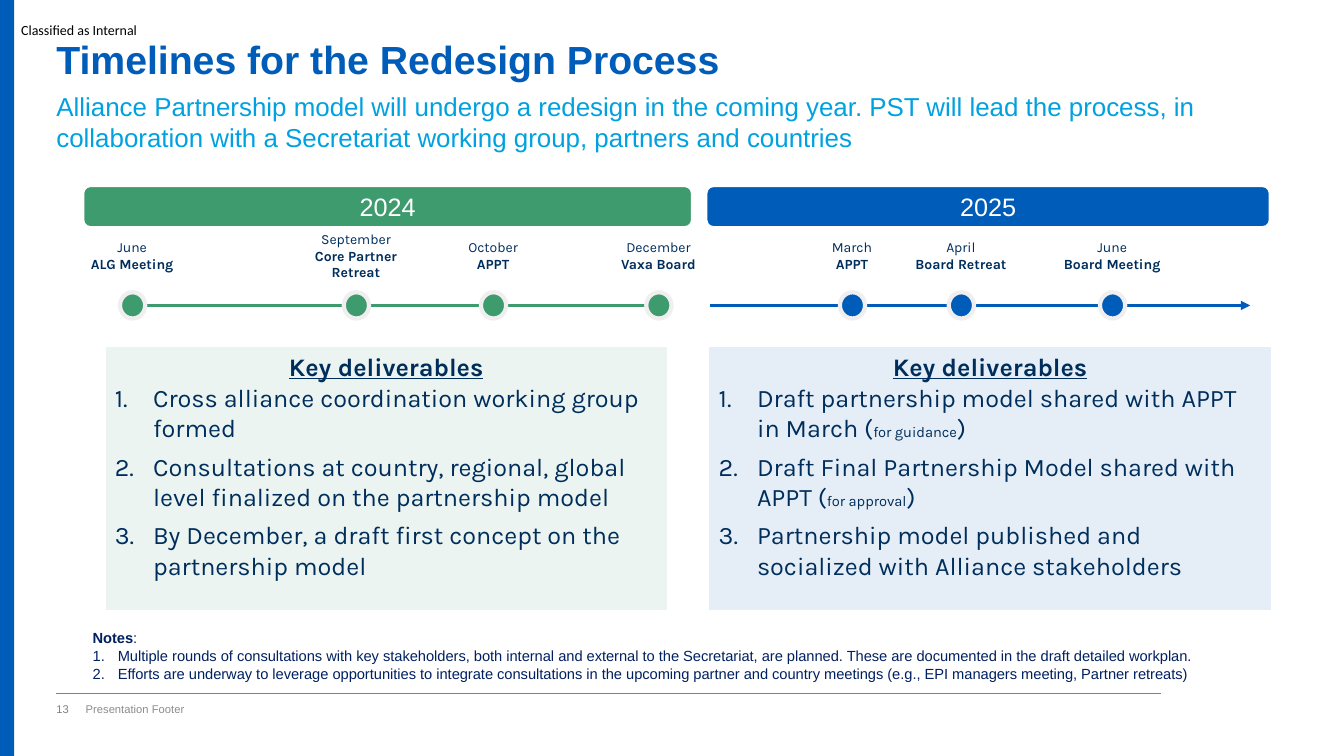
from dataclasses import dataclass

import pptx
import pptx.dml.color
import pptx.enum.shapes
import pptx.enum.text
import pptx.oxml
import pptx.oxml.ns
import pptx.util
from pptx.util import Inches

SHAPES = pptx.enum.shapes.MSO_SHAPE
ALIGN = pptx.enum.text.PP_ALIGN
ANCHOR = pptx.enum.text.MSO_ANCHOR
qn = pptx.oxml.ns.qn


@dataclass(frozen=True)
class Theme:
    blue: str = "005CB9"
    green: str = "3E9B6E"
    sky: str = "00A1DF"
    navy: str = "002E5C"
    note: str = "002060"
    gray: str = "808080"
    footer: str = "8C8C8C"
    ring: str = "F0EEEF"
    white: str = "FFFFFF"
    black: str = "000000"
    sans: str = "Arial"
    body: str = "Karla"
    label: str = "Calibri"
    title_size: float = 28
    lead_size: float = 18.5
    main_size: float = 18
    small_size: float = 10.5
    label_size: float = 10
    footer_size: float = 8


THEME = Theme()


def rgb(color):
    return pptx.dml.color.RGBColor.from_string(color)


def add_run(paragraph, text, size, color, font=THEME.sans, bold=False, underline=False):
    run = paragraph.add_run()
    run.text = text
    run.font.size = pptx.util.Pt(size)
    run.font.name = font
    run.font.color.rgb = rgb(color)
    run.font.bold = bold
    run.font.underline = underline


def number(paragraph, indent):
    properties = paragraph._p.get_or_add_pPr()
    properties.set("marL", str(Inches(indent)))
    properties.set("indent", str(-Inches(indent)))
    bullet = pptx.oxml.parse_xml(
        f'<a:buAutoNum {pptx.oxml.ns.nsdecls("a")} type="arabicPeriod"/>')
    properties.append(bullet)


def set_up_frame(frame, anchor=ANCHOR.TOP, inset=True):
    frame.word_wrap = True
    frame.vertical_anchor = anchor
    if not inset:
        frame.margin_left = frame.margin_right = frame.margin_top = frame.margin_bottom = 0
    return frame


def add_text(slide, box, anchor=ANCHOR.TOP, inset=False):
    shape = slide.shapes.add_textbox(*map(Inches, box))
    return set_up_frame(shape.text_frame, anchor, inset)


def add_block(slide, kind, box, fill, line=None, width=1, alpha=None):
    shape = slide.shapes.add_shape(kind, *map(Inches, box))
    shape.shadow.inherit = False
    shape.fill.solid()
    shape.fill.fore_color.rgb = rgb(fill)
    if alpha is not None:
        color = shape._element.spPr.find(qn("a:solidFill"))[0]
        color.append(pptx.oxml.parse_xml(
            f'<a:alpha {pptx.oxml.ns.nsdecls("a")} val="{alpha * 1000}"/>'))
    if line:
        shape.line.color.rgb = rgb(line)
        shape.line.width = pptx.util.Pt(width)
    else:
        shape.line.fill.background()
    return shape


def add_rule(slide, left, right, top, color, width, arrow=False):
    connector = slide.shapes.add_connector(
        pptx.enum.shapes.MSO_CONNECTOR.STRAIGHT,
        Inches(left), Inches(top), Inches(right), Inches(top))
    connector.line.color.rgb = rgb(color)
    connector.line.width = pptx.util.Pt(width)
    if arrow:
        connector.line._get_or_add_ln().append(pptx.oxml.parse_xml(
            f'<a:tailEnd {pptx.oxml.ns.nsdecls("a")} type="triangle"/>'))
    connector._element.spPr.append(pptx.oxml.parse_xml(
        f'<a:effectLst {pptx.oxml.ns.nsdecls("a")}/>'))


def add_page_frame(slide, width, height):
    """Side bar, classification label, footer rule and footer text."""
    classification = add_text(slide, (0.21, 0.21, 1.18, 0.17))
    classification.word_wrap = False
    add_run(classification.paragraphs[0], "Classified as Internal",
            THEME.label_size, THEME.black, THEME.label)
    add_block(slide, SHAPES.RECTANGLE, (0, 0, 0.14, height), THEME.blue)
    add_rule(slide, 0.56, width - 1.81, height - 0.62, THEME.gray, 0.5)
    for left, box_width, text, color in (
            (0.56, 0.29, "13", THEME.gray),
            (0.85, 4.5, "Presentation Footer", THEME.footer)):
        frame = add_text(slide, (left, height - 0.55, box_width, 0.15), ANCHOR.BOTTOM)
        add_run(frame.paragraphs[0], text, THEME.footer_size, color)


def add_heading(slide, left, top, width):
    title = slide.shapes.title
    title.left, title.top, title.width, title.height = map(
        Inches, (left, top, width, 0.65))
    paragraph = set_up_frame(title.text_frame, inset=False).paragraphs[0]
    paragraph.alignment = ALIGN.LEFT
    paragraph.line_spacing = 0.9
    add_run(paragraph, "Timelines for the Redesign Process",
            THEME.title_size, THEME.blue, bold=True)
    lead = add_text(slide, (left, top + 0.5, width, 0.65))
    add_run(lead.paragraphs[0],
            "Alliance Partnership model will undergo a redesign in the coming year. "
            "PST will lead the process, in collaboration with a Secretariat working "
            "group, partners and countries", THEME.lead_size, THEME.sky)


def add_milestone(slide, center, top, color, month, event):
    label = add_block(slide, SHAPES.RECTANGLE, (center - 0.59, top, 1.18, 0.49), THEME.white)
    frame = set_up_frame(label.text_frame, ANCHOR.MIDDLE)
    for index, text in enumerate((month, event)):
        paragraph = frame.add_paragraph() if index else frame.paragraphs[0]
        paragraph.alignment = ALIGN.CENTER
        add_run(paragraph, text, THEME.label_size, THEME.navy, THEME.body, bold=index == 1)
    add_block(slide, SHAPES.OVAL, (center - 0.12, top + 0.61, 0.25, 0.26),
              color, THEME.ring, 3)


def add_year(slide, left, top, width, year, color, segments, milestones):
    """Year banner above its timeline; segments are (start, end, arrow)."""
    banner = add_block(slide, SHAPES.ROUNDED_RECTANGLE, (left, top, width, 0.4),
                       color, THEME.white)
    paragraph = set_up_frame(banner.text_frame, ANCHOR.MIDDLE).paragraphs[0]
    paragraph.alignment = ALIGN.CENTER
    add_run(paragraph, year, THEME.main_size, THEME.white)
    for start, end, arrow in segments:
        add_rule(slide, start, end, top + 1.18, color, 2.25, arrow)
    for center, month, event in milestones:
        add_milestone(slide, center, top + 0.44, color, month, event)


def add_deliverables(slide, left, top, color, items):
    """Tinted panel; every second run of an item is a small remark."""
    panel = add_block(slide, SHAPES.RECTANGLE, (left, top, 5.58, 2.62),
                      color, THEME.white, alpha=10)
    frame = set_up_frame(panel.text_frame)
    heading = frame.paragraphs[0]
    heading.alignment = ALIGN.CENTER
    add_run(heading, "Key deliverables", THEME.main_size, THEME.navy, THEME.body, True, True)
    for item in items:
        paragraph = frame.add_paragraph()
        paragraph.alignment = ALIGN.LEFT
        paragraph.space_after = pptx.util.Pt(6)
        number(paragraph, 0.38)
        for index, text in enumerate(item):
            size = THEME.small_size if index % 2 else THEME.main_size
            add_run(paragraph, text, size, THEME.navy, THEME.body)


def add_notes_box(slide, box, notes):
    frame = add_text(slide, box, ANCHOR.MIDDLE, inset=True)
    heading = frame.paragraphs[0]
    add_run(heading, "Notes", THEME.small_size, THEME.note, bold=True)
    add_run(heading, ":", THEME.small_size, THEME.note)
    for note in notes:
        paragraph = frame.add_paragraph()
        number(paragraph, 0.25)
        add_run(paragraph, note, THEME.small_size, THEME.note)
    paragraph.space_after = pptx.util.Pt(4)


def main():
    presentation = pptx.Presentation()
    presentation.slide_width, presentation.slide_height = Inches(13.33), Inches(7.5)
    slide = presentation.slides.add_slide(presentation.slide_layouts[5])
    add_page_frame(slide, 13.33, 7.5)
    add_heading(slide, 0.56, 0.4, 12.2)
    add_deliverables(slide, 1.04, 3.44, THEME.green, [
        ["Cross alliance coordination working group formed"],
        ["Consultations at country, regional, global level finalized on the partnership model"],
        ["By December, a draft first concept on the partnership model"]])
    add_deliverables(slide, 7.03, 3.44, THEME.blue, [
        ["Draft partnership model shared with APPT in March (", "for guidance", ")"],
        ["Draft Final Partnership Model shared with APPT (", "for approval", ")"],
        ["Partnership model published and socialized with Alliance stakeholders"]])
    add_year(slide, 0.83, 1.85, 6.03, "2024", THEME.green, [(1.31, 6.64, False)], [
        (1.31, "June", "ALG Meeting"), (3.53, "September", "Core Partner Retreat"),
        (4.89, "October", "APPT"), (6.53, "December", "Vaxa Board")])
    add_year(slide, 7.01, 1.85, 5.58, "2025", THEME.blue,
             [(7.04, 11.03, False), (11.18, 12.4, True)], [
                 (8.45, "March", "APPT"), (9.53, "April", "Board Retreat"),
                 (11.03, "June", "Board Meeting")])
    add_notes_box(slide, (0.82, 6.18, 11.41, 0.65), [
        "Multiple rounds of consultations with key stakeholders, both internal and external "
        "to the Secretariat, are planned. These are documented in the draft detailed workplan.",
        "Efforts are underway to leverage opportunities to integrate consultations in the "
        "upcoming partner and country meetings (e.g., EPI managers meeting, Partner retreats)"])
    presentation.save("out.pptx")


if __name__ == "__main__":
    main()
